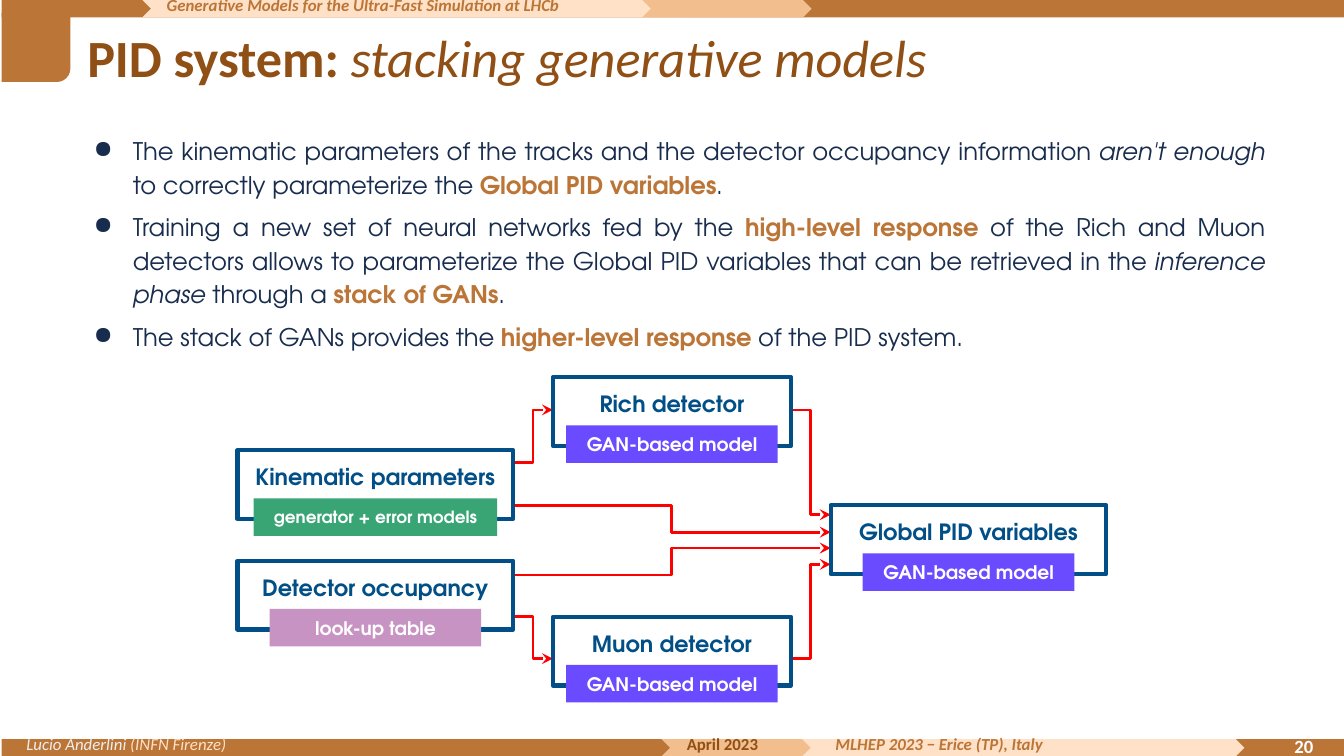
from lxml import etree
from pptx import Presentation
from pptx.dml.color import RGBColor
from pptx.enum import shapes, text
from pptx.oxml import ns
from pptx.util import Cm, Pt

BROWN = RGBColor(0xBB, 0x75, 0x37)
DARK_BROWN = RGBColor(0x90, 0x4F, 0x15)
SAND = RGBColor(0xF3, 0xBE, 0x8E)
CREAM = RGBColor(0xFF, 0xE1, 0xC7)
PALE = RGBColor(0xEF, 0xEF, 0xEF)
WHITE = RGBColor(0xFF, 0xFF, 0xFF)
NAVY = RGBColor(0x18, 0x2C, 0x4D)
BLUE = RGBColor(0x01, 0x4F, 0x86)
VIOLET = RGBColor(0x6A, 0x4B, 0xFF)
GREEN = RGBColor(0x39, 0xA5, 0x75)
MAUVE = RGBColor(0xC7, 0x93, 0xC3)
RED = RGBColor(0xFF, 0x00, 0x00)
HEAD_FONT, BODY_FONT = "Calibri", "TeX Gyre Adventor"
SHAPE, ALIGN, ANCHOR = shapes.MSO_SHAPE, text.PP_ALIGN, text.MSO_ANCHOR

deck = Presentation()
deck.slide_width, deck.slide_height = Cm(25.4), Cm(14.29)
page = deck.slides.add_slide(deck.slide_layouts[6])


def add_block(kind, left, top, width, height, fill=None, outline=None):
    block = page.shapes.add_shape(kind, Cm(left), Cm(top), Cm(width), Cm(height))
    block.shadow.inherit = False
    if fill is None:
        block.fill.background()
    else:
        block.fill.solid()
        block.fill.fore_color.rgb = fill
    if outline is None:
        block.line.fill.background()
    else:
        block.line.color.rgb = outline
        block.line.width = Pt(2.25)
    return block


def write(box, paragraphs, size, font, align=ALIGN.LEFT, anchor=ANCHOR.TOP):
    """Fill a box; each paragraph is a list of (text, colour, style), style using b and i."""
    frame = box.text_frame
    frame.word_wrap = True
    frame.vertical_anchor = anchor
    frame.margin_left = frame.margin_right = Cm(0.25)
    frame.margin_top = frame.margin_bottom = Cm(0.25)
    for index, spans in enumerate(paragraphs):
        para = frame.add_paragraph() if index else frame.paragraphs[0]
        para.alignment = align
        for words, colour, style in spans:
            span = para.add_run()
            span.text = words
            span.font.name, span.font.size = font, Pt(size)
            span.font.color.rgb = colour
            span.font.bold, span.font.italic = "b" in style, "i" in style


# Header and footer bands
for top, chevrons in (
    (0, ((2.69, 10.36, CREAM), (12.14, 3.2, SAND))),
    (13.97, ((13.16, 10.36, CREAM), (12.5, 2.82, SAND))),
):
    add_block(SHAPE.RECTANGLE, 0.03, top, 25.37, 0.33, BROWN)
    for left, width, colour in chevrons:
        add_block(SHAPE.CHEVRON, left, top, width, 0.33, colour)

corner = add_block(SHAPE.ROUND_1_RECTANGLE, 0.03, 0.25, 1.3, 1.3, BROWN)
corner.adjustments[0] = 0.196
corner.rotation = 90

for left, top, width, height, size, spans in (
    (12.73, 13.67, 2.11, 0.56, 9, [("April 2023", DARK_BROWN, "b")]),
    (15.54, 13.67, 7.98, 0.99, 9, [("MLHEP 2023 − Erice (TP), Italy", BROWN, "bi")]),
    (2.9, -0.3, 10.24, 0.89, 9,
     [("Generative Models for the Ultra-Fast Simulation at LHCb", BROWN, "bi")]),
    (0.25, 13.67, 12.04, 0.56, 9,
     [("Lucio Anderlini ", PALE, "i"), ("(INFN Firenze)", CREAM, "i")]),
    (1.4, 0.23, 23.67, 1.6, 28,
     [("PID system: ", DARK_BROWN, "b"), ("stacking generative models", DARK_BROWN, "i")]),
):
    box = page.shapes.add_textbox(Cm(left), Cm(top), Cm(width), Cm(height))
    write(box, [spans], size, HEAD_FONT)

number = page.shapes.add_textbox(Cm(23.55), Cm(13.56), Cm(1.52), Cm(1.09))
write(number, [[("20", WHITE, "b")]], 10, HEAD_FONT, ALIGN.RIGHT, ANCHOR.MIDDLE)

# Bullet list
bullets = page.shapes.add_textbox(Cm(1.27), Cm(2.26), Cm(22.89), Cm(4.62))
write(bullets, [
    [("The kinematic parameters of the tracks and the detector occupancy information ", NAVY, ""),
     ("aren't enough", NAVY, "i"),
     (" to correctly parameterize the ", NAVY, ""),
     ("Global PID variables", BROWN, "b"),
     (".", NAVY, "")],
    [("Training a new set of neural networks fed by the ", NAVY, ""),
     ("high-level response", BROWN, "b"),
     (" of the Rich and Muon detectors allows to parameterize the Global PID variables"
      " that can be retrieved in the ", NAVY, ""),
     ("inference phase", NAVY, "i"),
     (" through a ", NAVY, ""),
     ("stack of GANs", BROWN, "b"),
     (".", NAVY, "")],
    [("The stack of GANs provides the ", NAVY, ""),
     ("higher-level response", BROWN, "b"),
     (" of the PID system.", NAVY, "")],
], 13, BODY_FONT, ALIGN.JUSTIFY, ANCHOR.MIDDLE)
for index, para in enumerate(bullets.text_frame.paragraphs):
    para.line_spacing = 1.15
    para.space_before = Pt(5 if index else 0)
    properties = para._p.get_or_add_pPr()
    properties.set("marL", str(Cm(0.99)))
    properties.set("indent", str(Cm(-0.74)))
    bullet_colour = etree.SubElement(properties, ns.qn("a:buClr"))
    etree.SubElement(bullet_colour, ns.qn("a:srgbClr")).set("val", str(NAVY))
    etree.SubElement(properties, ns.qn("a:buChar")).set("char", "●")

# Diagram columns: inputs, detectors, output
INPUT_LEFT, DETECTOR_LEFT, OUTPUT_LEFT = 4.49, 10.45, 15.7
WIDE, NARROW = 5.21, 4.5
INPUT_RIGHT, DETECTOR_RIGHT = INPUT_LEFT + WIDE, DETECTOR_LEFT + NARROW

# Arrows run from the first point to the second
for start_x, start_y, end_x, end_y in (
    (DETECTOR_RIGHT, 12.45, OUTPUT_LEFT, 10.67),
    (DETECTOR_RIGHT, 7.75, OUTPUT_LEFT, 9.73),
    (INPUT_RIGHT, 9.55, OUTPUT_LEFT, 10.06),
    (INPUT_RIGHT, 10.87, OUTPUT_LEFT, 10.36),
    (INPUT_RIGHT, 11.66, DETECTOR_LEFT, 12.45),
    (INPUT_RIGHT, 8.74, DETECTOR_LEFT, 7.75),
):
    arrow = page.shapes.add_connector(
        shapes.MSO_CONNECTOR.ELBOW, Cm(start_x), Cm(start_y), Cm(end_x), Cm(end_y))
    arrow.line.color.rgb = RED
    arrow.line.width = Pt(1.5)
    etree.SubElement(arrow.line._get_or_add_ln(), ns.qn("a:tailEnd")).set("type", "stealth")
    etree.SubElement(arrow._element.spPr, ns.qn("a:effectLst"))

# Each node is an outlined box with a centred tag over its lower edge
for left, top, width, name, tag, tag_width, tag_size, colour in (
    (DETECTOR_LEFT, 7.13, NARROW, "Rich detector", "GAN-based model", 4, 10, VIOLET),
    (DETECTOR_LEFT, 11.66, NARROW, "Muon detector", "GAN-based model", 4, 10, VIOLET),
    (OUTPUT_LEFT, 9.55, WIDE, "Global PID variables", "GAN-based model", 4, 10, VIOLET),
    (INPUT_LEFT, 8.51, WIDE, "Kinematic parameters", "generator + error models", 4.6, 9, GREEN),
    (INPUT_LEFT, 10.6, WIDE, "Detector occupancy", "look-up table", 4, 10, MAUVE),
):
    node = add_block(SHAPE.RECTANGLE, left, top, width, 1.3, outline=BLUE)
    write(node, [[(name, BLUE, "b")]], 12, BODY_FONT, ALIGN.CENTER)
    tag_left = left + (width - tag_width) / 2
    label = add_block(SHAPE.RECTANGLE, tag_left, top + 0.91, tag_width, 0.71, colour)
    write(label, [[(tag, WHITE, "b")]], tag_size, BODY_FONT, ALIGN.CENTER, ANCHOR.MIDDLE)

deck.save("out.pptx")
